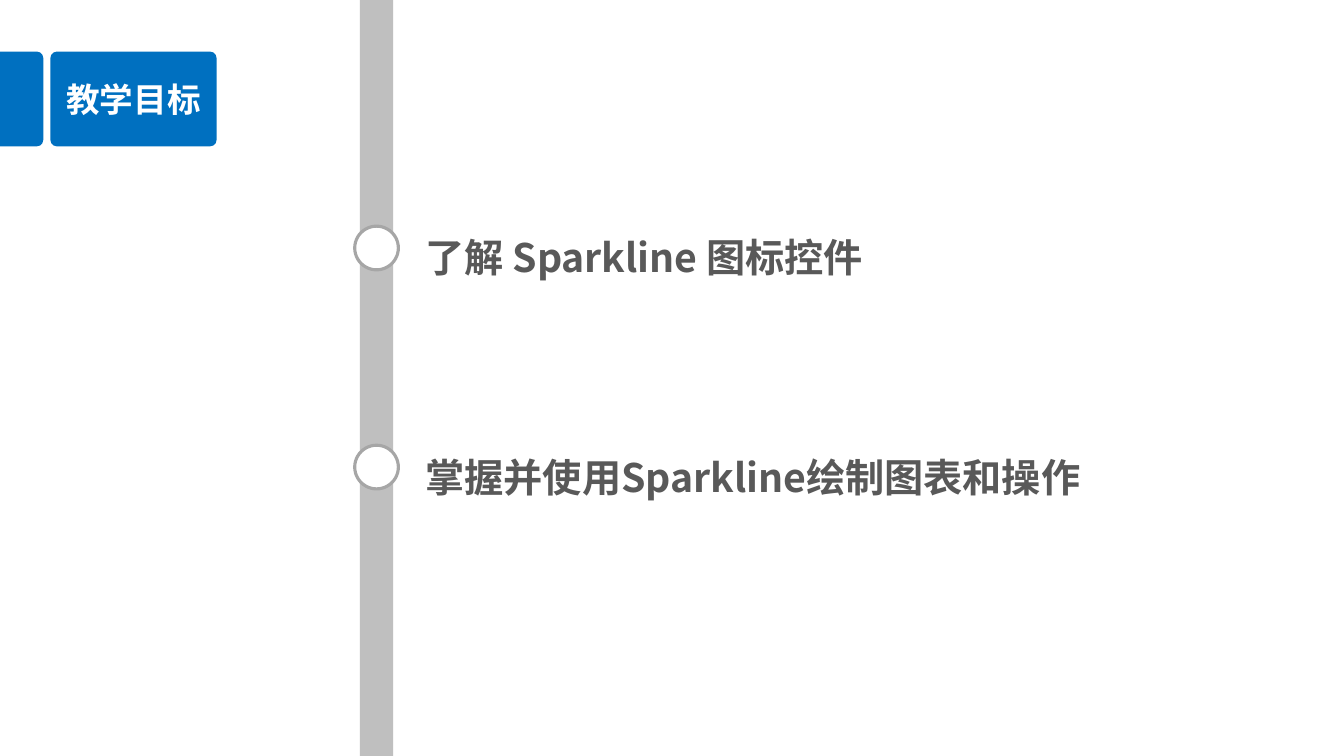
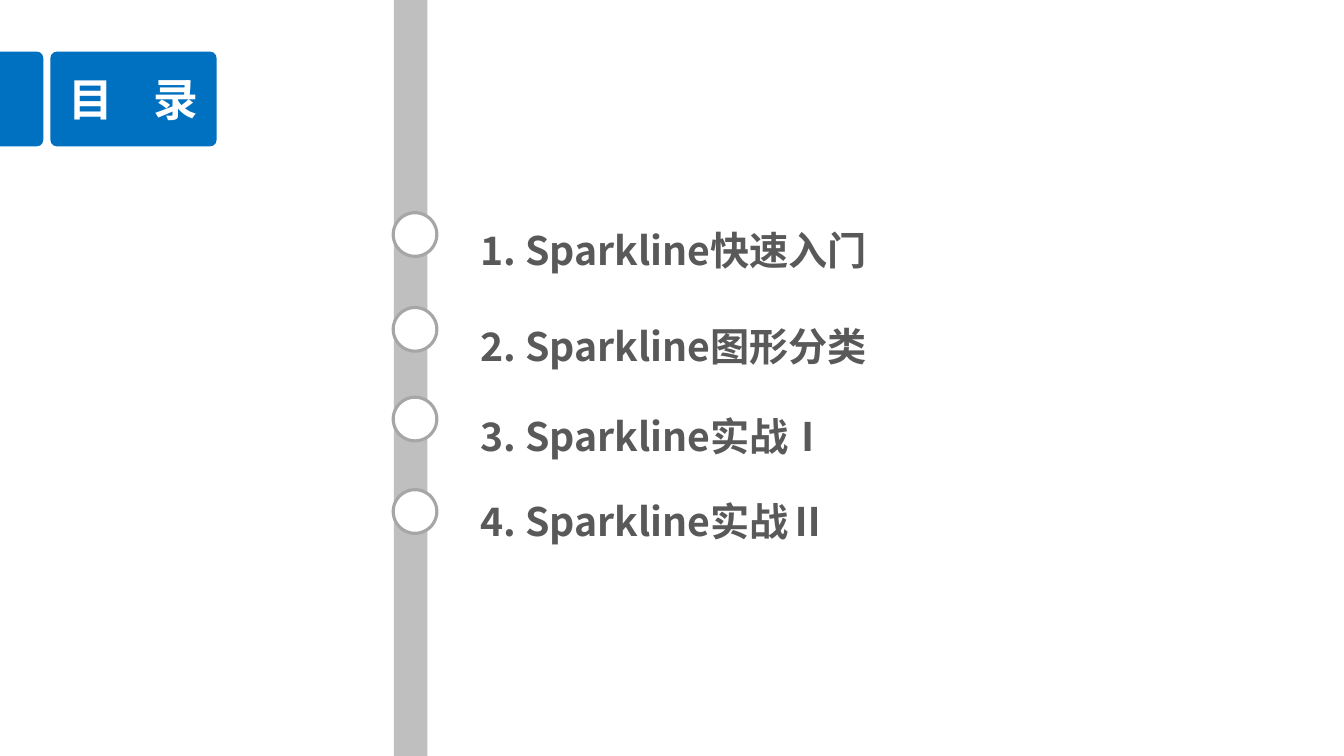
from pptx import Presentation
from pptx.dml.color import RGBColor
from pptx.enum import shapes, text
from pptx.oxml import ns, xmlchemy
from pptx.util import Cm, Pt

BLUE, WHITE, BAR_GREY, RING_GREY, TEXT_GREY = "0070C0", "FFFFFF", "BFBFBF", "A6A6A6", "595959"
CJK_FONT = "Noto Sans CJK SC"

# Lengths in cm
SLIDE_WIDTH, SLIDE_HEIGHT = 33.87, 19.05
TAG_LEFT, TAG_TOP, TAG_WIDTH, TAG_HEIGHT = 1.27, 1.3, 4.19, 2.39
TAB_WIDTH = 1.09
BAR_WIDTH = 0.84
MARKER_SIZE = 1.1
LINE_HEIGHT = 1.43
LIST_WIDTH = 20

# Each item: label, top of its marker, top of its label
SLIDES = [
    {
        "title": "教学目标", "title_size": 24, "title_spacing": 0,
        "bar_left": 9.07, "marker_left": 8.94, "list_left": 10.47,
        "items": [
            ("了解 Sparkline 图标控件", 5.7, 5.51),
            ("掌握并使用Sparkline绘制图表和操作", 11.22, 11.05),
        ],
    },
    {
        "title": "目 录", "title_size": 32, "title_spacing": 11,
        "bar_left": 9.93, "marker_left": 9.91, "list_left": 11.86,
        "items": [
            ("1. Sparkline快速入门", 5.36, 5.33),
            ("2. Sparkline图形分类", 7.75, 7.75),
            ("3. Sparkline实战Ⅰ", 10.01, 10.01),
            ("4. Sparkline实战Ⅱ", 12.34, 12.17),
        ],
    },
]


def colour(hex_string):
    return RGBColor.from_string(hex_string)


def place(shape, left, top, width, height):
    shape.left, shape.top, shape.width, shape.height = map(Cm, (left, top, width, height))


def add_shape(slide, kind, box, fill, line=None):
    shape = slide.shapes.add_shape(kind, *map(Cm, box))
    shape.shadow.inherit = False
    shape.fill.solid()
    shape.fill.fore_color.rgb = colour(fill)
    if line:
        shape.line.color.rgb = colour(line)
        shape.line.width = Pt(2.25)
    else:
        shape.line.fill.background()
    return shape


def style_paragraph(paragraph, size, hex_colour, latin, spacing=0):
    """Bold text with a Latin and an East Asian font; spacing is in points."""
    font = paragraph.font
    font.size, font.bold, font.name = Pt(size), True, latin
    font.color.rgb = colour(hex_colour)
    properties = paragraph._p.pPr.find(ns.qn("a:defRPr"))
    properties.set("spc", str(spacing * 100))
    east_asian = xmlchemy.OxmlElement("a:ea")
    east_asian.set("typeface", CJK_FONT)
    properties.find(ns.qn("a:latin")).addnext(east_asian)


def add_tag_to_layout(layout, slide):
    """Draw the blue title tag and edge tab, then move them to the layout."""
    middle = TAG_TOP + TAG_HEIGHT / 2
    tab = add_shape(slide, shapes.MSO_SHAPE.ROUND_2_SAME_RECTANGLE,
                    ((TAB_WIDTH - TAG_HEIGHT) / 2, middle - TAB_WIDTH / 2,
                     TAG_HEIGHT, TAB_WIDTH), BLUE)
    tab.rotation = 90
    tab.adjustments[0] = 0.15
    tag = add_shape(slide, shapes.MSO_SHAPE.ROUNDED_RECTANGLE,
                    (TAG_LEFT, TAG_TOP, TAG_WIDTH, TAG_HEIGHT), BLUE)
    tag.adjustments[0] = 0.07
    for shape in (tab, tag):
        layout.shapes.element.append(shape.element)


def fill_title(title, content):
    place(title, TAG_LEFT, TAG_TOP, TAG_WIDTH, TAG_HEIGHT)
    frame = title.text_frame
    frame.text = content["title"]
    frame.auto_size = text.MSO_AUTO_SIZE.NONE
    frame.vertical_anchor = text.MSO_ANCHOR.MIDDLE
    frame.margin_left = frame.margin_right = 0
    paragraph = frame.paragraphs[0]
    paragraph.alignment = text.PP_ALIGN.CENTER
    style_paragraph(paragraph, content["title_size"], WHITE, "Calibri", content["title_spacing"])


def fill_list(body, left, items):
    tops = [top for _, _, top in items]
    place(body, left, tops[0], LIST_WIDTH, tops[-1] - tops[0] + LINE_HEIGHT + 0.26)
    frame = body.text_frame
    frame.text = "\n".join(label for label, _, _ in items)
    frame.auto_size = text.MSO_AUTO_SIZE.NONE
    frame.vertical_anchor = text.MSO_ANCHOR.TOP
    previous_bottom = tops[0]
    for paragraph, top in zip(frame.paragraphs, tops):
        paragraph.line_spacing = Cm(LINE_HEIGHT)
        paragraph.space_before = Cm(top - previous_bottom)
        paragraph.space_after = 0
        previous_bottom = top + LINE_HEIGHT
        style_paragraph(paragraph, 28, TEXT_GREY, CJK_FONT)
        properties = paragraph._p.pPr
        properties.set("marL", "0")
        properties.set("indent", "0")
        properties.find(ns.qn("a:defRPr")).addprevious(xmlchemy.OxmlElement("a:buNone"))


def add_timeline(slide, content):
    add_shape(slide, shapes.MSO_SHAPE.RECTANGLE,
              (content["bar_left"], 0, BAR_WIDTH, SLIDE_HEIGHT), BAR_GREY)
    for _, marker_top, _ in content["items"]:
        add_shape(slide, shapes.MSO_SHAPE.OVAL,
                  (content["marker_left"], marker_top, MARKER_SIZE, MARKER_SIZE),
                  WHITE, RING_GREY)


def main():
    presentation = Presentation()
    presentation.slide_width, presentation.slide_height = Cm(SLIDE_WIDTH), Cm(SLIDE_HEIGHT)
    layout = presentation.slide_layouts.get_by_name("Title and Content")
    for number, content in enumerate(SLIDES):
        slide = presentation.slides.add_slide(layout)
        if number == 0:
            add_tag_to_layout(layout, slide)
        fill_title(slide.shapes.title, content)
        fill_list(slide.placeholders[1], content["list_left"], content["items"])
        add_timeline(slide, content)
    presentation.save("out.pptx")


if __name__ == "__main__":
    main()
